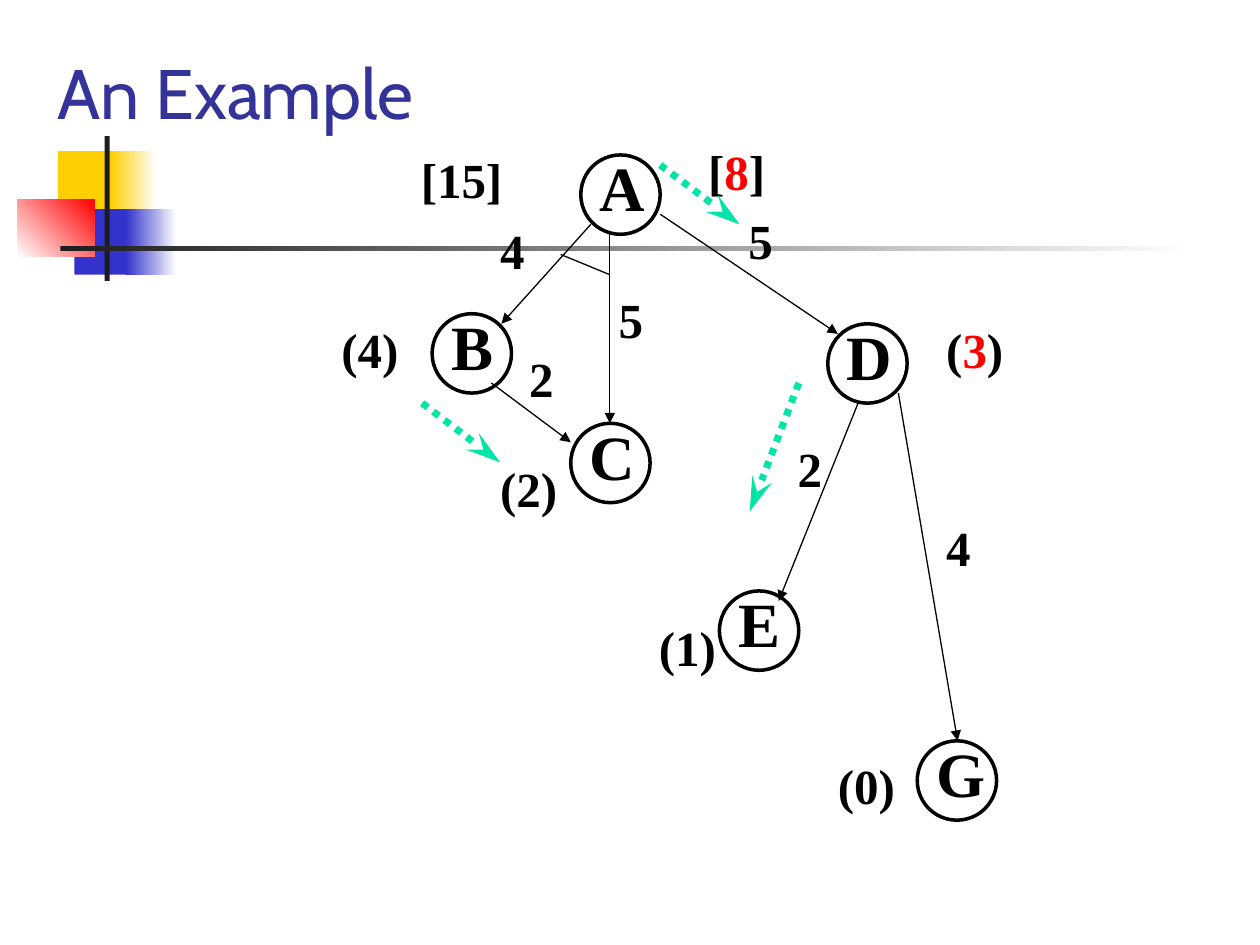
from pptx import Presentation
from pptx.dml.color import RGBColor
from pptx.enum.dml import MSO_LINE
from pptx.enum.shapes import MSO_CONNECTOR, MSO_SHAPE
from pptx.enum.text import MSO_ANCHOR, MSO_AUTO_SIZE
from pptx.oxml.ns import qn
from pptx.util import Inches, Pt
from lxml.etree import SubElement

SERIF = "Times New Roman"
BLACK, WHITE, RED = "000000", "FFFFFF", "FF0000"
YELLOW, BLUE, DARK = "FFCF01", "3333CC", "1C1C1C"
TITLE_BLUE, GREEN = "333399", "00E4A8"
DIAMETER = 0.63

DECORATION = [
    ((0.46, 1.2, 0.48, 0.52), [YELLOW], 0),
    ((0.88, 1.2, 0.36, 0.52), [YELLOW, WHITE], 0),
    ((0.59, 1.66, 0.46, 0.52), [BLUE], 0),
    ((1, 1.66, 0.4, 0.52), [BLUE, WHITE], 0),
    ((0.14, 1.58, 0.61, 0.46), [WHITE, RED], 45),
    ((0.83, 1.08, 0.04, 1.15), [DARK], 0),
    ((0.48, 1.95, 9, 0.04), [DARK, WHITE], 0),
]
NODES = [
    ("A", 4.61, 1.23, 0.5),
    ("B", 3.43, 2.49, 0.47),
    ("C", 4.53, 3.36, 0.5),
    ("D", 6.57, 2.57, 0.5),
    ("E", 5.71, 4.69, 0.47),
    ("G", 7.28, 5.88, 0.53),
]
EDGES = [
    (4.69, 1.78, 3.98, 2.57),
    (4.84, 1.86, 4.84, 3.36),
    (3.9, 3.04, 4.53, 3.51),
    (5.24, 1.7, 6.65, 2.65),
    (6.81, 3.2, 6.18, 4.77),
    (7.13, 3.12, 7.6, 5.88),
]
AND_ARC = (4.45, 2.02, 4.84, 2.18)
MARKERS = [
    (5.24, 1.31, 5.87, 1.78),
    (6.34, 3.04, 5.95, 4.06),
    (3.35, 3.2, 3.97, 3.67),
]
COSTS = [
    ("4", 3.9, 1.78),
    ("5", 5.87, 1.7),
    ("5", 4.84, 2.33),
    ("2", 4.13, 2.8),
    ("2", 6.26, 3.51),
    ("4", 7.44, 4.14),
]
ESTIMATES = [
    ("(4)", 2.64, 2.57),
    ("(2)", 3.9, 3.67),
    ("(1)", 5.16, 4.93),
    ("(0)", 6.58, 6.03),
]
CHOSEN = [("(3)", 7.44, 2.57), ("[8]", 5.55, 1.15)]


def color(value):
    return RGBColor.from_string(value)


def set_all(target, values):
    for name, value in values.items():
        setattr(target, name, value)


def add_block(slide, box, colors, angle):
    shape = slide.shapes.add_shape(MSO_SHAPE.RECTANGLE, *map(Inches, box))
    shape.shadow.inherit = False
    shape.line.fill.background()
    if len(colors) == 1:
        shape.fill.solid()
        shape.fill.fore_color.rgb = color(colors[0])
        return
    shape.fill.gradient()
    shape.fill.gradient_angle = angle
    for stop, value, position in zip(shape.fill.gradient_stops, colors, (0, 1)):
        stop.color.rgb = color(value)
        stop.position = position


def add_title(slide, text):
    box = slide.shapes.add_textbox(*map(Inches, (0.36, 0.29, 9.31, 0.82)))
    set_all(box.text_frame, {"word_wrap": True, "vertical_anchor": MSO_ANCHOR.BOTTOM})
    run = box.text_frame.paragraphs[0].add_run()
    run.text = text
    set_all(run.font, {"name": "Cabin", "size": Pt(40)})
    run.font.color.rgb = color(TITLE_BLUE)


def add_label(slide, runs, box, size):
    frame = slide.shapes.add_textbox(*map(Inches, box)).text_frame
    set_all(frame, {
        "word_wrap": False,
        "auto_size": MSO_AUTO_SIZE.SHAPE_TO_FIT_TEXT,
        "margin_left": Inches(0.07),
        "margin_right": Inches(0.07),
        "margin_top": Inches(0.03),
        "margin_bottom": Inches(0.03),
    })
    paragraph = frame.paragraphs[0]
    paragraph.line_spacing = 0.88
    for text, value in runs:
        run = paragraph.add_run()
        run.text = text
        set_all(run.font, {"name": SERIF, "size": Pt(size), "bold": True})
        run.font.color.rgb = color(value)


def add_node(slide, letter, left, top, label_width):
    box = (left, top, DIAMETER, DIAMETER)
    circle = slide.shapes.add_shape(MSO_SHAPE.OVAL, *map(Inches, box))
    circle.shadow.inherit = False
    circle.fill.background()
    circle.line.color.rgb = color(BLACK)
    circle.line.width = Pt(2)
    add_label(slide, [(letter, BLACK)], (left + 0.08, top, label_width, 0.58), 36)


def add_line(slide, ends, value=BLACK, width=0.75, dash=None, head=None):
    connector = slide.shapes.add_connector(MSO_CONNECTOR.STRAIGHT, *map(Inches, ends))
    connector.line.color.rgb = color(value)
    set_all(connector.line, {"width": Pt(width), "dash_style": dash})
    if head:
        SubElement(connector.line._get_or_add_ln(), qn("a:tailEnd"), head)
    SubElement(connector._element.spPr, qn("a:effectLst"))


def main():
    presentation = Presentation()
    set_all(presentation, {"slide_width": Inches(10), "slide_height": Inches(7.5)})
    slide = presentation.slides.add_slide(presentation.slide_layouts[6])
    for box, colors, angle in DECORATION:
        add_block(slide, box, colors, angle)
    add_title(slide, "An Example")
    for node in NODES:
        add_node(slide, *node)
    for ends in EDGES:
        add_line(slide, ends, head={"type": "triangle"})
    add_line(slide, AND_ARC)
    for text, left, top in COSTS:
        add_label(slide, [(text, BLACK)], (left, top, 0.33, 0.47), 28)
    for text, left, top in ESTIMATES:
        add_label(slide, [(text, BLACK)], (left, top, 0.6, 0.47), 28)
    add_label(slide, [("[15]", BLACK)], (3.27, 1.22, 0.8, 0.47), 28)
    for text, left, top in CHOSEN:
        add_label(slide, zip(text, (BLACK, RED, BLACK)), (left, top, 0.6, 0.47), 28)
    stealth = {"type": "stealth", "w": "med", "len": "lg"}
    for ends in MARKERS:
        add_line(slide, ends, GREEN, 4, MSO_LINE.ROUND_DOT, stealth)
    presentation.save("out.pptx")


if __name__ == "__main__":
    main()
